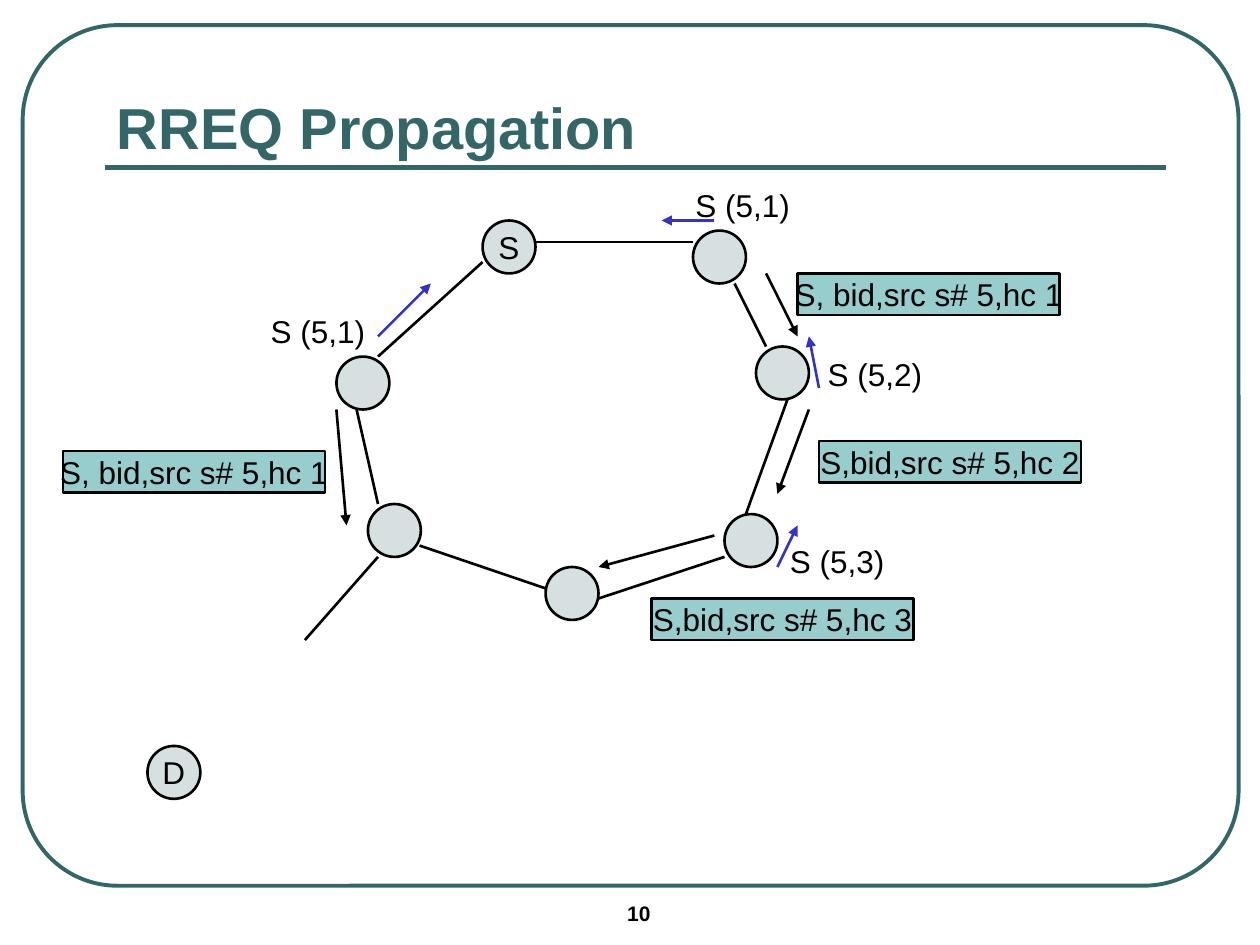
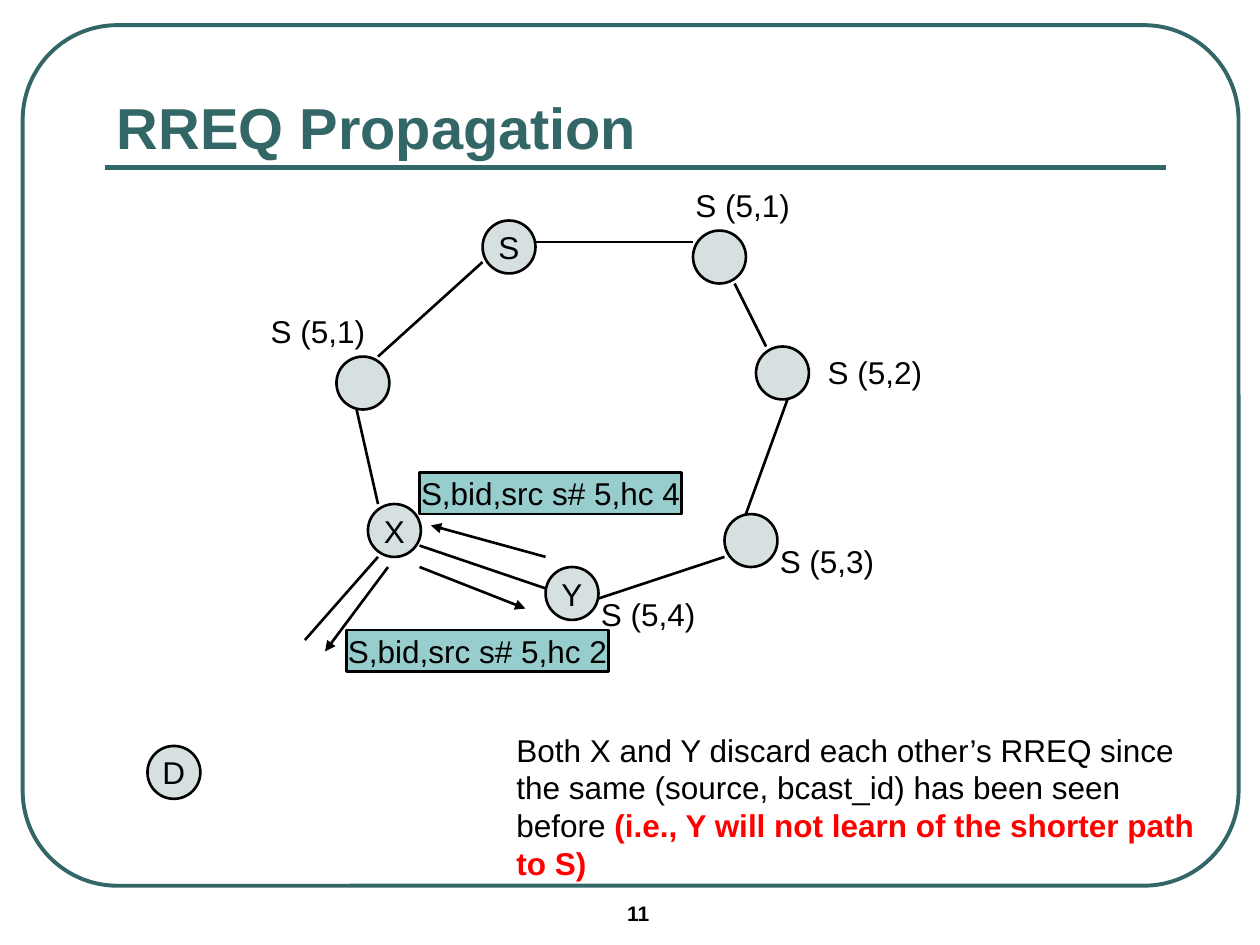
from lxml import etree
from pptx import Presentation
from pptx.dml.color import RGBColor
from pptx.enum import shapes, text
from pptx.oxml import ns
from pptx.util import Inches, Pt

TEAL = RGBColor(0x33, 0x66, 0x66)
BLACK = RGBColor(0x00, 0x00, 0x00)
BLUE = RGBColor(0x33, 0x33, 0xCC)
RED = RGBColor(0xFF, 0x00, 0x00)
NODE_FILL = RGBColor(0xD6, 0xE0, 0xE0)
PACKET_FILL = RGBColor(0x97, 0xCD, 0xCC)

NODES = {
    "right_low": (5.75, 4.08),
    "right_mid": (6, 2.75),
    "right_top": (5.5, 1.83),
    "X": (2.92, 4),
    "left_mid": (2.67, 2.83),
    "D": (1.17, 5.92),
    "S": (3.83, 1.75),
    "Y": (4.33, 4.5),
}
LINKS = [
    ((3, 2.83), (3.83, 2.08)),
    ((4.25, 1.92), (5.5, 1.92)),
    ((5.83, 2.25), (6.08, 2.75)),
    ((6.25, 3.17), (5.92, 4.08)),
    ((4.75, 4.75), (5.75, 4.42)),
    ((3.33, 4.33), (4.33, 4.67)),
    ((3, 4), (2.83, 3.25)),
    ((3, 4.42), (2.42, 5.08)),
]


def write(frame, content, size=18, color=BLACK, bold=False, wrap=False,
          align=text.PP_ALIGN.LEFT, anchor=text.MSO_ANCHOR.TOP):
    frame.word_wrap = wrap
    frame.vertical_anchor = anchor
    para = frame.paragraphs[0]
    para.alignment = align
    spans = [(content, color, bold)] if isinstance(content, str) else content
    for words, span_color, span_bold in spans:
        span = para.add_run()
        span.text = words
        span.font.name = "Arial"
        span.font.size = Pt(size)
        span.font.bold = span_bold
        span.font.color.rgb = span_color


class Diagram:
    node_size = (0.42, 0.42)
    packet_size = (2.08, 0.33)
    label_size = (0.95, 0.4)

    def __init__(self, deck):
        self.deck = deck
        self.page = None

    def new_page(self, title, number):
        self.page = self.deck.slides.add_slide(self.deck.slide_layouts[6])
        frame = self.shape(shapes.MSO_SHAPE.ROUNDED_RECTANGLE,
                           (0.18, 0.2), (9.65, 6.83), None, TEAL, 2.25)
        frame.adjustments[0] = 0.11
        self.line((0.83, 1.33), (9.25, 1.33), TEAL, 3)
        self.words((4.88, 7.1), (1.17, 0.33), str(number), size=12, bold=True, wrap=True)
        self.words((0.83, 0.58), (8.42, 0.75), title, size=33, color=TEAL, bold=True,
                   wrap=True, anchor=text.MSO_ANCHOR.BOTTOM)

    def shape(self, kind, place, extent, fill, color=BLACK, weight=1.5, label=""):
        box = self.page.shapes.add_shape(kind, *map(Inches, place + extent))
        box.shadow.inherit = False
        if fill is None:
            box.fill.background()
        else:
            box.fill.solid()
            box.fill.fore_color.rgb = fill
        box.line.color.rgb = color
        box.line.width = Pt(weight)
        if label:
            write(box.text_frame, label, align=text.PP_ALIGN.CENTER,
                  anchor=text.MSO_ANCHOR.MIDDLE)
        return box

    def line(self, start, end, color=BLACK, weight=1.5, arrow=False):
        connector = self.page.shapes.add_connector(
            shapes.MSO_CONNECTOR.STRAIGHT, *map(Inches, start + end))
        connector.line.color.rgb = color
        connector.line.width = Pt(weight)
        properties = connector._element.spPr
        if arrow:
            outline = properties.find(ns.qn("a:ln"))
            etree.SubElement(outline, ns.qn("a:tailEnd"), type="triangle")
        etree.SubElement(properties, ns.qn("a:effectLst"))

    def words(self, place, extent, content, **style):
        box = self.page.shapes.add_textbox(*map(Inches, place + extent))
        write(box.text_frame, content, **style)
        return box

    def network(self, named):
        for name, place in NODES.items():
            self.shape(shapes.MSO_SHAPE.OVAL, place, self.node_size,
                       NODE_FILL, label=name if name in named else "")
        for start, end in LINKS:
            self.line(start, end)

    def arrows(self, hops, color=BLACK):
        for start, end in hops:
            self.line(start, end, color, arrow=True)

    def routes(self, labels):
        for place, hop_count in labels:
            box = self.words(place, self.label_size, f"S (5,{hop_count})")
            box.text_frame.auto_size = text.MSO_AUTO_SIZE.SHAPE_TO_FIT_TEXT

    def packets(self, labels):
        for place, label in labels:
            self.shape(shapes.MSO_SHAPE.RECTANGLE, place, self.packet_size,
                       PACKET_FILL, label=label)


def forward_page(diagram):
    diagram.new_page("RREQ Propagation", 10)
    diagram.network("SD")
    diagram.arrows([
        ((2.67, 3.25), (2.75, 4.17)),
        ((6.08, 2.17), (6.33, 2.67)),
        ((6.42, 3.25), (6.17, 3.92)),
        ((5.67, 4.25), (4.75, 4.5)),
    ])
    diagram.routes([((2.05, 2.43), 1), ((5.42, 1.43), 1),
                    ((6.47, 2.77), 2), ((6.17, 4.25), 3)])
    diagram.packets([
        ((6.33, 2.17), "S, bid,src s# 5,hc 1"),
        ((6.5, 3.5), "S,bid,src s# 5,hc 2"),
        ((5.17, 4.75), "S,bid,src s# 5,hc 3"),
        ((0.5, 3.58), "S, bid,src s# 5,hc 1"),
    ])
    diagram.arrows([
        ((3, 2.67), (3.42, 2.25)),
        ((6.17, 4.5), (6.33, 4.17)),
        ((6.5, 3.08), (6.42, 2.67)),
        ((5.67, 1.75), (5.25, 1.75)),
    ], BLUE)


def discard_page(diagram):
    diagram.new_page("RREQ Propagation", 11)
    diagram.network("SDXY")
    diagram.arrows([
        ((3.08, 4.5), (2.58, 5.17)),
        ((3.33, 4.5), (4.17, 4.83)),
        ((4.33, 4.42), (3.42, 4.17)),
    ])
    diagram.routes([((2.05, 2.43), 1), ((5.42, 1.43), 1), ((6.09, 4.25), 3),
                    ((4.67, 4.67), 4), ((6.47, 2.75), 2)])
    diagram.words((4, 5.75), (5.58, 1.3), [
        ("Both X and Y discard each other’s RREQ since the same "
         "(source, bcast_id) has been seen before ", BLACK, False),
        ("(i.e., Y will not learn of the shorter path to S)", RED, True),
    ], wrap=True)
    diagram.packets([
        ((3.33, 3.75), "S,bid,src s# 5,hc 4"),
        ((2.75, 5), "S,bid,src s# 5,hc 2"),
    ])


def main():
    deck = Presentation()
    deck.slide_width = Inches(10)
    deck.slide_height = Inches(7.5)
    diagram = Diagram(deck)
    forward_page(diagram)
    discard_page(diagram)
    deck.save("out.pptx")


if __name__ == "__main__":
    main()
